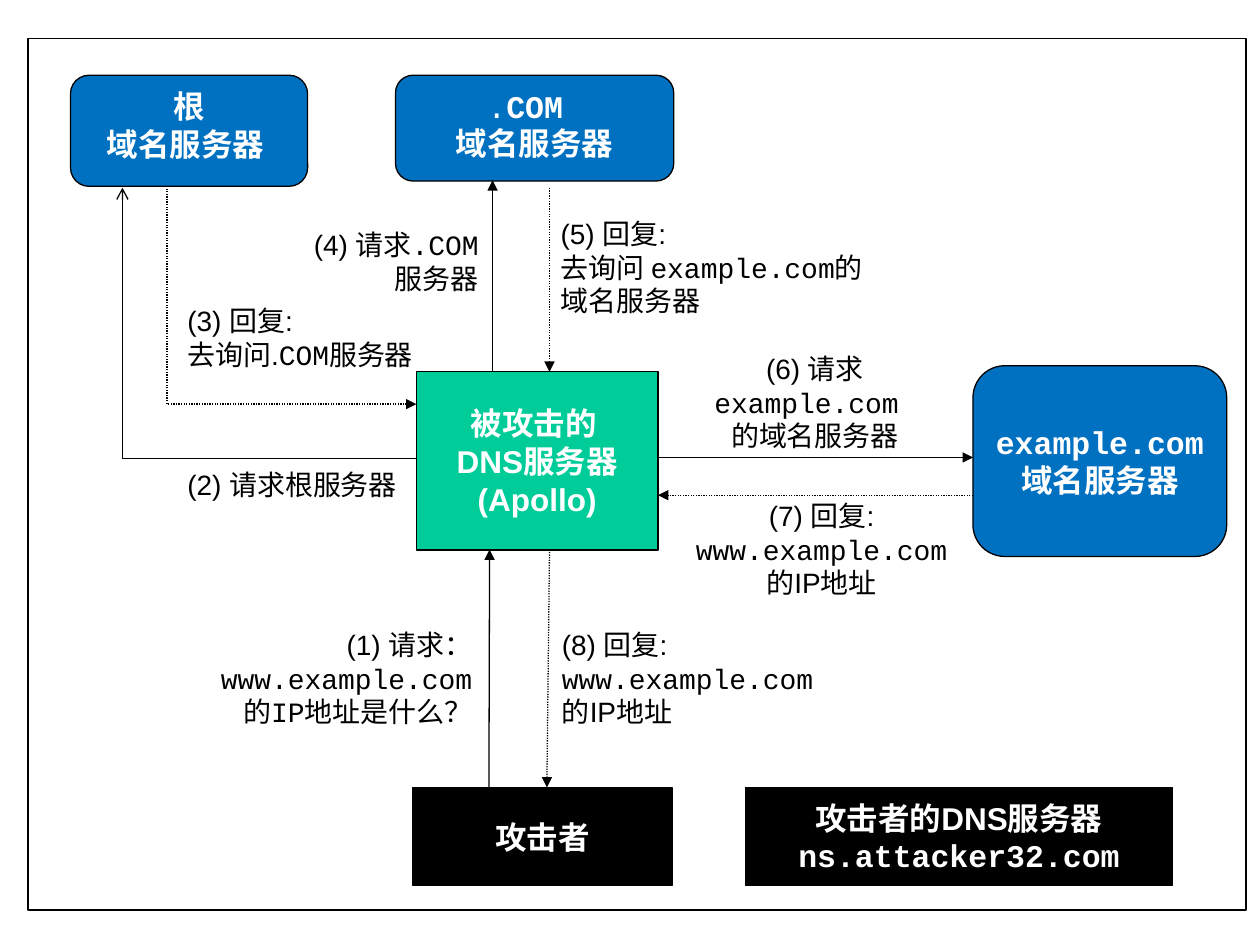
from dataclasses import dataclass

from lxml import etree
from pptx import Presentation
from pptx import util as u
from pptx.dml.color import RGBColor
from pptx.enum import dml, shapes, text
from pptx.oxml import ns

Pt = u.Pt


@dataclass(frozen=True)
class Theme:
    ink: RGBColor = RGBColor(0, 0, 0)
    paper: RGBColor = RGBColor(255, 255, 255)
    server: RGBColor = RGBColor(0x00, 0x70, 0xC0)
    victim: RGBColor = RGBColor(0x00, 0xCC, 0x99)
    node_size: int = 18
    label_size: int = 16
    rule: float = 0.75
    sans: str = "Arial"
    mono: str = "Courier New"


@dataclass(frozen=True)
class Box:
    left: float
    top: float
    width: float
    height: float

    def inner(self, left, top, width, height):
        return Box(self.left + left, self.top + top, width, height)

    def point(self, x, y):
        return Pt(self.left + x), Pt(self.top + y)

    def lengths(self):
        return [Pt(v) for v in (self.left, self.top, self.width, self.height)]


THEME = Theme()
SANS, MONO = THEME.sans, THEME.mono
LEFT, CENTER, RIGHT = text.PP_ALIGN.LEFT, text.PP_ALIGN.CENTER, text.PP_ALIGN.RIGHT
TOP, MIDDLE = text.MSO_ANCHOR.TOP, text.MSO_ANCHOR.MIDDLE
RECT, ROUND = shapes.MSO_SHAPE.RECTANGLE, shapes.MSO_SHAPE.ROUNDED_RECTANGLE


def apply(target, values):
    for name, value in values.items():
        setattr(target, name, value)


def write(frame, paragraphs, align, anchor, size, color, bold):
    apply(frame, {"word_wrap": True, "vertical_anchor": anchor})
    for index, runs in enumerate(paragraphs):
        paragraph = frame.add_paragraph() if index else frame.paragraphs[0]
        paragraph.alignment = align
        for words, face in runs:
            run = paragraph.add_run()
            run.text = words
            apply(run.font, {"name": face, "size": Pt(size),
                             "bold": bold and words != "."})
            run.font.color.rgb = color


def outline(line):
    line.width = Pt(THEME.rule)
    line.color.rgb = THEME.ink


def draw_frame(slide, box):
    border = slide.shapes.add_shape(RECT, *box.lengths())
    border.shadow.inherit = False
    border.fill.background()
    outline(border.line)


def draw_node(slide, box, outline_kind, fill, anchor, paragraphs):
    node = slide.shapes.add_shape(outline_kind, *box.lengths())
    node.shadow.inherit = False
    node.fill.solid()
    node.fill.fore_color.rgb = fill
    outline(node.line)
    write(node.text_frame, paragraphs, CENTER, anchor, THEME.node_size, THEME.paper, True)


def draw_label(slide, box, align, paragraphs):
    label = slide.shapes.add_textbox(*box.lengths())
    write(label.text_frame, paragraphs, align, TOP, THEME.label_size, THEME.ink, False)


def draw_arrow(slide, box, start, end, reply, bent=False, end_tag="tailEnd", head="triangle"):
    kind = shapes.MSO_CONNECTOR.ELBOW if bent else shapes.MSO_CONNECTOR.STRAIGHT
    arrow = slide.shapes.add_connector(kind, *box.point(*start), *box.point(*end))
    outline(arrow.line)
    if reply:
        arrow.line.dash_style = dml.MSO_LINE.ROUND_DOT
    properties = arrow._element.spPr
    if bent:
        properties.find(ns.qn("a:prstGeom")).set("prst", "bentConnector2")
    etree.SubElement(arrow.line._get_or_add_ln(), ns.qn(f"a:{end_tag}"), type=head)
    etree.SubElement(properties, ns.qn("a:effectLst"))


def draw_nodes(slide, box):
    nodes = [
        ((222, 190.4, 138, 102), RECT, THEME.victim, MIDDLE,
         [[("被攻击的 ", SANS)], [("DNS服务器", SANS)], [("(Apollo)", SANS)]]),
        ((410, 428, 244, 56), RECT, THEME.ink, MIDDLE,
         [[("攻击者的DNS服务器", SANS)], [("ns.attacker32.com", MONO)]]),
        ((220, 428, 148, 56), RECT, THEME.ink, MIDDLE, [[("攻击者", SANS)]]),
        ((210, 21, 159, 60.5), ROUND, THEME.server, TOP,
         [[(".", MONO), ("COM ", MONO)], [("域名服务器", SANS)]]),
        ((24.3, 21, 135.5, 63.5), ROUND, THEME.server, TOP,
         [[("根", SANS)], [("域名服务器 ", SANS)]]),
        ((540, 187, 145, 109), ROUND, THEME.server, MIDDLE,
         [[("example.com", MONO)], [("域名服务器", SANS)]]),
    ]
    for place, *details in nodes:
        draw_node(slide, box.inner(*place), *details)


def draw_messages(slide, box):
    straight = [
        ((263.4, 428), (263.8, 292), False),
        ((265.5, 190.4), (265.5, 81), False),
        ((298, 85.3), (298, 190.5), True),
        ((360, 239.4), (540, 239.4), False),
        ((540, 261), (360, 261), True),
        ((298, 293.4), (296.5, 428), True),
    ]
    for start, end, reply in straight:
        draw_arrow(slide, box, start, end, reply)
    draw_arrow(slide, box, (222, 240), (54, 85.3), False, bent=True, head="arrow")
    draw_arrow(slide, box, (222, 209), (79.5, 84.5), True, bent=True, end_tag="headEnd")


def draw_labels(slide, box):
    labels = [
        ((84, 333, 177, 65), RIGHT,
         [[("(1) 请求： ", SANS), ("www.example.com", MONO)], [("的IP地址是什么？", MONO)]]),
        ((84, 241.5, 137, 46), LEFT, [[("(2) 请求根服务器", SANS)]]),
        ((84, 148, 169, 46), LEFT,
         [[("(3) 回复:", SANS)], [("去询问.", SANS), ("COM服务器", MONO)]]),
        ((131.6, 104.7, 133, 46), RIGHT, [[("(4) 请求", SANS), (".COM 服务器", MONO)]]),
        ((297.2, 98.2, 217.5, 65), LEFT,
         [[("(5) 回复:", SANS)], [("去询问 ", SANS), ("example.com的", MONO)],
          [("域名服务器", SANS)]]),
        ((374.2, 175.3, 151, 65), CENTER,
         [[("(6) 请求 ", SANS), ("example.com ", MONO)], [("的域名服务器", SANS)]]),
        ((362.7, 259.5, 181.5, 65), CENTER,
         [[("(7) 回复: ", SANS), ("www.example.com", MONO)],
          [("的", MONO), ("IP地址", SANS)]]),
        ((298, 333, 197, 65), LEFT,
         [[("(8) 回复: ", SANS), ("www.example.com", MONO)],
          [("的", MONO), ("IP地址", SANS)]]),
    ]
    for place, align, paragraphs in labels:
        draw_label(slide, box.inner(*place), align, paragraphs)


def main():
    deck = Presentation()
    apply(deck, {"slide_width": Pt(720), "slide_height": Pt(540)})
    slide = deck.slides.add_slide(deck.slide_layouts[6])
    diagram = Box(16, 22, 696, 498)
    for draw in (draw_frame, draw_nodes, draw_messages, draw_labels):
        draw(slide, diagram)
    deck.save("out.pptx")


if __name__ == "__main__":
    main()
